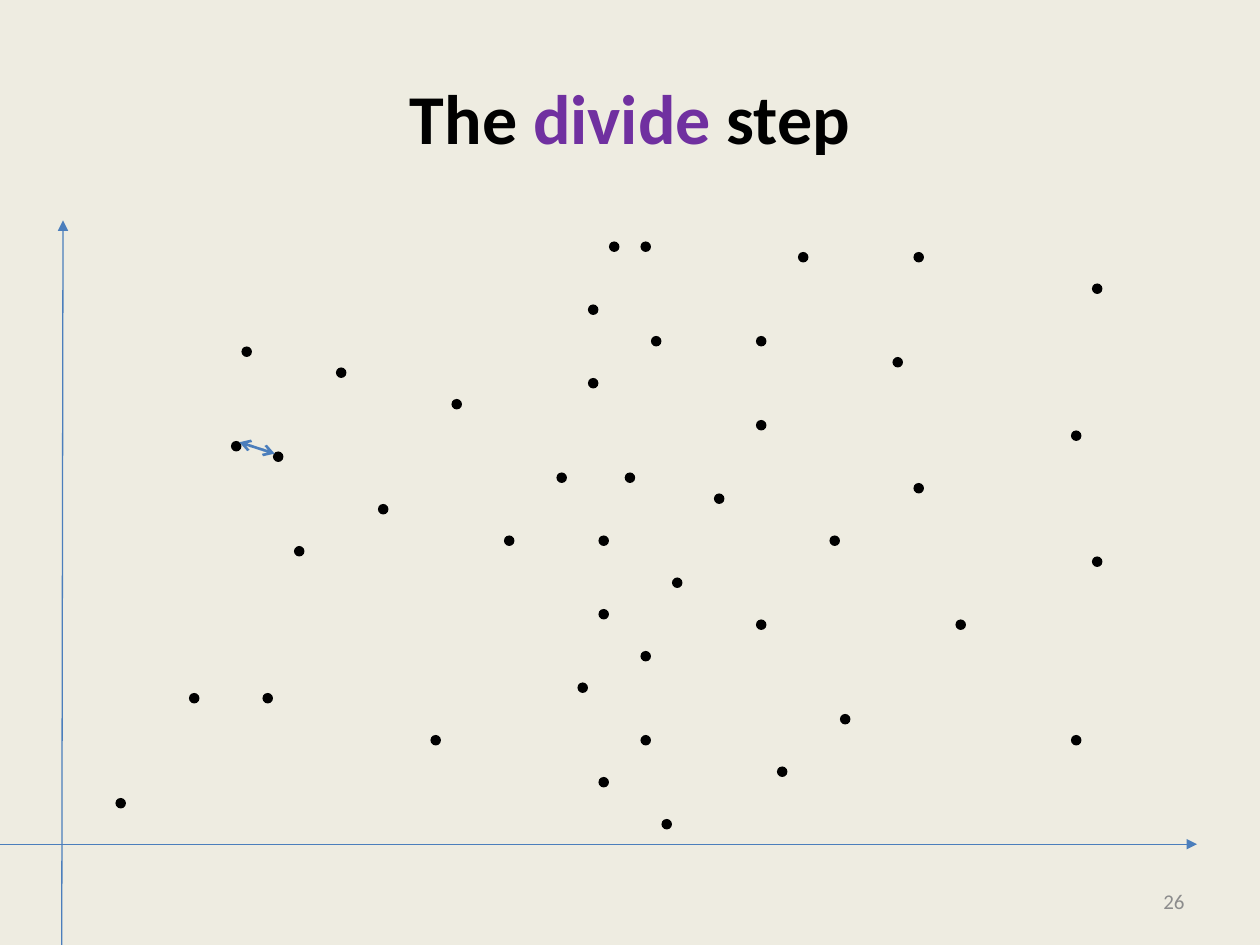
from dataclasses import dataclass

from lxml.etree import SubElement
from pptx import Presentation
from pptx.dml.color import RGBColor
from pptx.enum.shapes import MSO_CONNECTOR, MSO_SHAPE
from pptx.enum.text import MSO_ANCHOR, PP_ALIGN
from pptx.oxml.ns import qn
from pptx.util import Inches, Pt


@dataclass(frozen=True)
class Theme:
    font: str = "Calibri"
    background: RGBColor = RGBColor(0xEE, 0xEC, 0xE1)
    ink: RGBColor = RGBColor(0, 0, 0)
    accent: RGBColor = RGBColor(0x70, 0x30, 0xA0)
    line: RGBColor = RGBColor(0x4B, 0x7E, 0xBC)
    muted: RGBColor = RGBColor(0x8C, 0x8C, 0x8C)
    title_size: int = 40
    number_size: int = 12


THEME = Theme()

# The points lie on a grid of twelve cells to the inch; a dot fills one cell.
CELL = 1 / 12
POINTS = [
    (43, 38), (48, 51), (87, 46), (61, 62), (55, 65), (79, 51), (80, 68),
    (72, 32), (41, 70), (36, 48), (91, 59), (85, 34), (32, 35), (26, 43),
    (28, 52), (22, 42), (25, 66), (23, 33), (56, 29), (72, 40), (72, 59),
    (74, 73), (76, 24), (87, 24), (102, 41), (104, 53), (104, 27), (102, 70),
    (18, 66), (11, 76), (57, 51), (57, 74), (63, 78), (57, 58), (64, 55),
    (62, 32), (56, 36), (53, 45), (68, 47), (58, 23), (61, 23), (61, 70),
    (59.5, 45),
]


def add_text(slide, box, runs, size, align, bold=False):
    """Add one line of text; runs holds (text, colour) pairs."""
    frame = slide.shapes.add_textbox(*map(Inches, box)).text_frame
    frame.word_wrap = True
    frame.vertical_anchor = MSO_ANCHOR.MIDDLE
    paragraph = frame.paragraphs[0]
    paragraph.alignment = align
    for text, colour in runs:
        run = paragraph.add_run()
        run.text = text
        run.font.name = THEME.font
        run.font.size = Pt(size)
        run.font.bold = bold
        run.font.color.rgb = colour


def add_arrow(slide, start, end, width, tail, head=None):
    """Add a line with arrowheads: tail at its end, head at its start."""
    arrow = slide.shapes.add_connector(
        MSO_CONNECTOR.STRAIGHT, *map(Inches, (*start, *end)))
    arrow.line.color.rgb = THEME.line
    arrow.line.width = Pt(width)
    outline = arrow.line._get_or_add_ln()
    for tag, kind in (("a:headEnd", head), ("a:tailEnd", tail)):
        if kind:
            SubElement(outline, qn(tag), type=kind)
    SubElement(arrow._element.spPr, qn("a:effectLst"))


def add_point(slide, column, row):
    dot = slide.shapes.add_shape(
        MSO_SHAPE.OVAL, Inches(column * CELL), Inches(row * CELL),
        Inches(CELL), Inches(CELL))
    dot.shadow.inherit = False
    dot.fill.solid()
    dot.fill.fore_color.rgb = THEME.ink
    dot.line.fill.background()


def main():
    deck = Presentation()
    deck.slide_width, deck.slide_height = Inches(10), Inches(7.5)
    slide = deck.slides.add_slide(deck.slide_layouts[6])
    slide.background.fill.solid()
    slide.background.fill.fore_color.rgb = THEME.background

    add_arrow(slide, (-0.17, 6.7), (9.5, 6.7), 0.75, "triangle")
    add_arrow(slide, (0.49, 7.67), (0.5, 1.75), 0.75, "triangle")

    title = [("The ", THEME.ink), ("divide", THEME.accent), (" step", THEME.ink)]
    add_text(slide, (0.5, 0.3, 9, 1.25), title, THEME.title_size,
             PP_ALIGN.CENTER, bold=True)
    add_text(slide, (7.17, 6.95, 2.33, 0.4), [("26", THEME.muted)],
             THEME.number_size, PP_ALIGN.RIGHT)

    for column, row in POINTS:
        add_point(slide, column, row)
    add_arrow(slide, (2.18, 3.6), (1.9, 3.51), 1.5, "arrow", head="arrow")

    deck.save("out.pptx")


if __name__ == "__main__":
    main()
